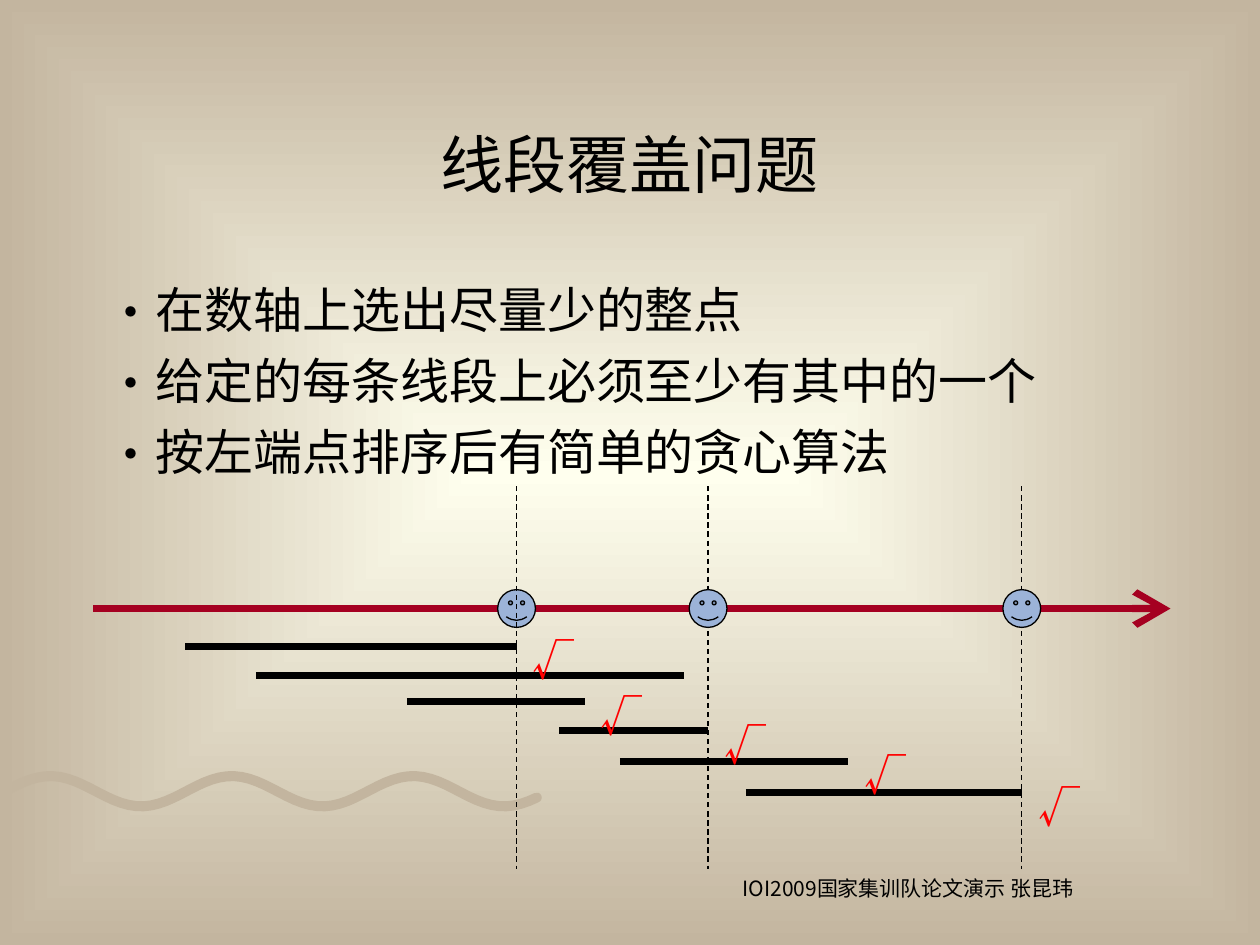
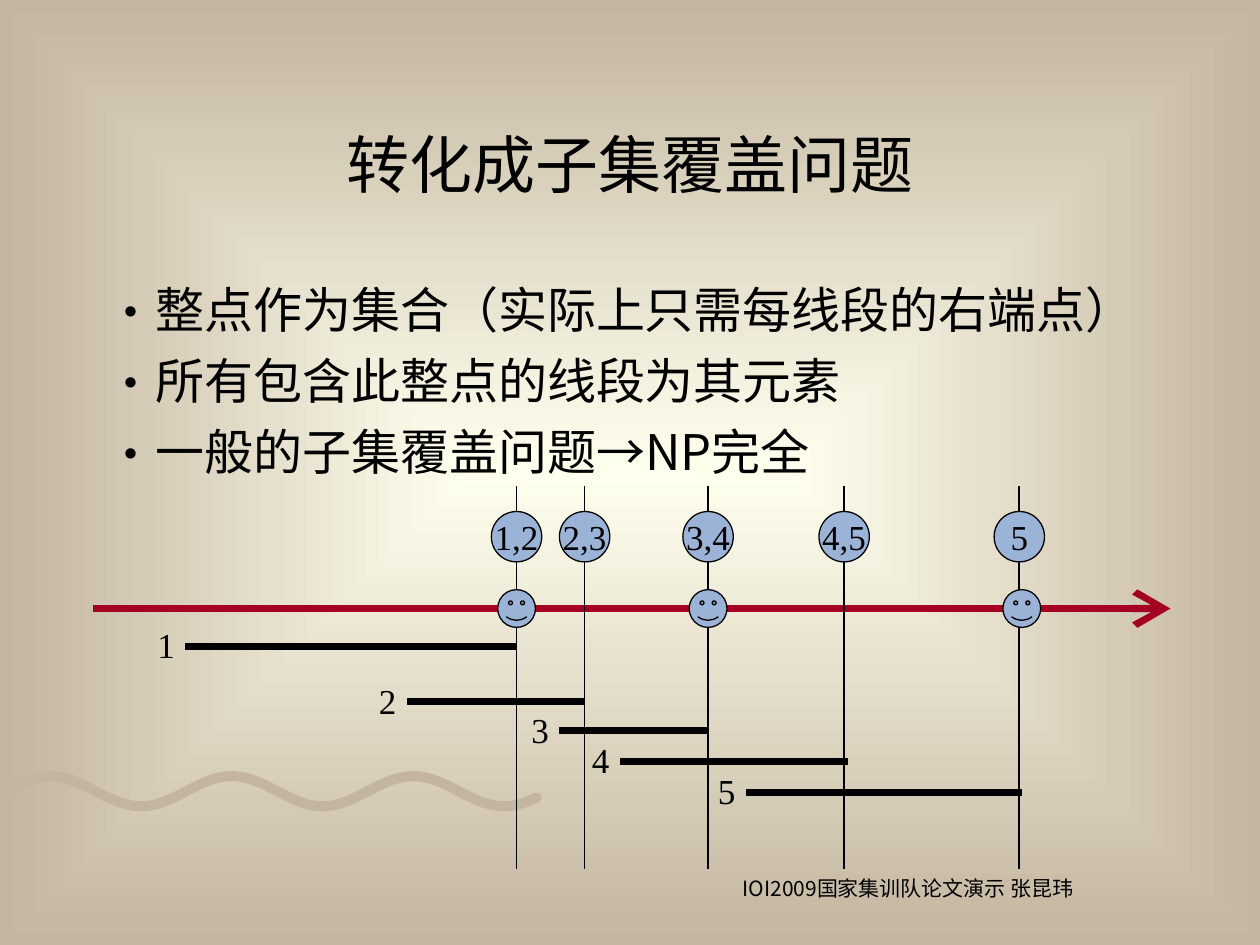
from collections import namedtuple
from dataclasses import dataclass
from math import cos, hypot, pi, sin

from lxml.etree import SubElement
from pptx import Presentation
from pptx.dml.color import RGBColor as RGB
from pptx.enum.dml import MSO_LINE as Dash
from pptx.enum.shapes import MSO_CONNECTOR as Conn, MSO_SHAPE as Shp
from pptx.enum.text import MSO_ANCHOR as Anchor, PP_ALIGN as Align
from pptx.oxml.ns import qn
from pptx.util import Pt

PX = 9144
Segment = namedtuple("Segment", "left right y")
Wave = namedtuple("Wave", "end middle height crest length half_width step")


@dataclass(frozen=True)
class Theme:
    ink: RGB = RGB.from_string("000000")
    axis: RGB = RGB.from_string("A50021")
    check: RGB = RGB.from_string("FF0000")
    dot: RGB = RGB.from_string("9CB3D8")
    glow: RGB = RGB.from_string("FFFFEE")
    sand: RGB = RGB.from_string("C3B59F")
    sans: str = "Noto Sans CJK SC"
    serif: str = "Times New Roman"
    title: int = 36
    body: int = 28
    mark: int = 24
    label: int = 20
    footer: int = 12
    thick: int = 4
    thin: int = 1
    hair: float = 0.75


T = Theme()

FOOTER = "IOI2009国家集训队论文演示 张昆玮"
AXIS = Segment(74, 929, 483)
SEGMENTS = [
    Segment(147, 410, 513),
    Segment(203, 543, 536),
    Segment(323, 464, 557),
    Segment(444, 562, 580),
    Segment(492, 673, 604),
    Segment(592, 811, 629),
]
REDUNDANT = SEGMENTS[1]
NEEDED = [seg for seg in SEGMENTS if seg != REDUNDANT]
CHOSEN = [410, 562, 811]
CANDIDATES = [410, 464, 562, 670, 809]

SLIDES = [
    {
        "title": "线段覆盖问题",
        "points": [
            "在数轴上选出尽量少的整点",
            "给定的每条线段上必须至少有其中的一个",
            "按左端点排序后有简单的贪心算法",
        ],
        "segments": SEGMENTS,
        "guides": CHOSEN,
        "guide_format": {"width": Pt(T.hair), "dash_style": Dash.DASH},
        "faces_behind": 1,
        "show_sets": False,
    },
    {
        "title": "转化成子集覆盖问题",
        "points": [
            "整点作为集合（实际上只需每线段的右端点）",
            "所有包含此整点的线段为其元素",
            "一般的子集覆盖问题→NP完全",
        ],
        "segments": NEEDED,
        "guides": CANDIDATES,
        "guide_format": {"width": Pt(T.thin)},
        "faces_behind": 0,
        "show_sets": True,
    },
]

TITLE_BOX = (75, 67, 850, 125)
BODY_BOX = (75, 217, 850, 170)
FOOTER_BOX = (492, 690, 370, 43)
INDENT = 38
GUIDE_TOP, GUIDE_BOTTOM = 386, 690
FACE_SIZE = 30
BADGE_SIZE, BADGE_Y = 40, 426
WAVE = Wave(end=431, middle=628, height=12, crest=40, length=144, half_width=4, step=6)


def put(obj, **fmt):
    for name, value in fmt.items():
        setattr(obj, name, value)


def px(*values):
    return [round(v * PX) for v in values]


def add_bullet(p):
    pPr = p._p.get_or_add_pPr()
    pPr.set("marL", str(INDENT * PX))
    pPr.set("indent", str(-INDENT * PX))
    SubElement(pPr, qn("a:buFont"), typeface=T.sans)
    SubElement(pPr, qn("a:buChar"), char="•")


def write(tf, lines, size, color=T.ink, font=T.sans, bullet=False, **fmt):
    for i, line in enumerate(lines):
        p = tf.paragraphs[0] if i == 0 else tf.add_paragraph()
        put(p, **fmt)
        r = p.add_run()
        r.text = line
        put(r.font, size=Pt(size), name=font)
        r.font.color.rgb = color
        SubElement(r.font._element, qn("a:ea"), typeface=font)
        if bullet:
            add_bullet(p)


def add_text(s, box, lines, size, wrap=True, anchor=Anchor.TOP, **fmt):
    tf = s.shapes.add_textbox(*px(*box)).text_frame
    put(tf, word_wrap=wrap, vertical_anchor=anchor)
    write(tf, lines, size, **fmt)


def add_line(s, start, end, color=T.ink, arrow=False, **fmt):
    line = s.shapes.add_connector(Conn.STRAIGHT, *px(*start, *end))
    line.line.color.rgb = color
    put(line.line, **fmt)
    if arrow:
        SubElement(line.line._get_or_add_ln(), qn("a:tailEnd"), type="arrow", w="lg", len="lg")
    SubElement(line._element.spPr, qn("a:effectLst"))


def add_segment(s, seg, **fmt):
    add_line(s, (seg.left, seg.y), (seg.right, seg.y), width=Pt(T.thick), **fmt)


def paint(sp, color):
    sp.shadow.inherit = False
    sp.fill.solid()
    sp.fill.fore_color.rgb = color


def add_dot(s, kind, x, y, size):
    sp = s.shapes.add_shape(kind, *px(x - size / 2, y - size / 2, size, size))
    paint(sp, T.dot)
    sp.line.color.rgb = T.ink
    sp.line.width = Pt(T.hair)
    return sp


def add_faces(s, points):
    for x in points:
        add_dot(s, Shp.SMILEY_FACE, x, AXIS.y, FACE_SIZE).adjustments[0] = 0.093


def wave_point(x, side):
    k = 2 * pi / WAVE.length
    phase = k * (x - WAVE.crest)
    y = WAVE.middle - WAVE.height * cos(phase)
    slope = WAVE.height * k * sin(phase)
    offset = side * WAVE.half_width / hypot(1, slope)
    return max(0, x - offset * slope), y + offset


def add_wave(s):
    xs = range(0, WAVE.end, WAVE.step)
    upper = [wave_point(x, -1) for x in xs]
    lower = [wave_point(x, 1) for x in reversed(xs)]
    tip_x, tip_y = wave_point(xs[-1], 0)
    angles = [pi * i / 8 - pi / 2 for i in range(1, 8)]
    cap = [(tip_x + WAVE.half_width * cos(a), tip_y + WAVE.half_width * sin(a)) for a in angles]
    start, *rest = [px(x, y) for x, y in upper + cap + lower]
    outline = s.shapes.build_freeform(*start)
    outline.add_line_segments(rest, close=True)
    sp = outline.convert_to_shape()
    paint(sp, T.sand)
    sp.line.fill.background()


def set_background(master):
    fill = master.background.fill
    fill.gradient()
    for stop, color, position in zip(fill.gradient_stops, (T.glow, T.sand), (0, 1)):
        stop.color.rgb = color
        stop.position = position
    grad = master.element.find(".//" + qn("p:bgPr")).find(qn("a:gradFill"))
    grad.remove(grad.find(qn("a:lin")))
    path = SubElement(grad, qn("a:path"), path="rect")
    SubElement(path, qn("a:fillToRect"), dict.fromkeys("ltrb", "50000"))


def add_checks(s):
    for seg in NEEDED:
        add_text(s, (seg.right + 3, seg.y - 14, 31, 21), ["√"], T.mark,
                 wrap=False, color=T.check)


def add_segment_numbers(s, segments):
    for number, seg in enumerate(segments, 1):
        add_text(s, (seg.left - 32, seg.y - 23, 34, 44), [str(number)], T.label,
                 wrap=False, font=T.serif)


def add_set_badges(s, points, segments):
    for x in points:
        members = [str(number) for number, seg in enumerate(segments, 1)
                   if seg.left <= x <= seg.right]
        tf = add_dot(s, Shp.OVAL, x, BADGE_Y, BADGE_SIZE).text_frame
        put(tf, word_wrap=False, vertical_anchor=Anchor.MIDDLE)
        write(tf, [",".join(members)], T.label, font=T.serif, alignment=Align.CENTER)


def add_frame(s, title, points):
    add_wave(s)
    add_text(s, TITLE_BOX, [title], T.title, anchor=Anchor.MIDDLE, alignment=Align.CENTER)
    add_text(s, BODY_BOX, points, T.body, bullet=True, space_before=Pt(7))
    add_text(s, FOOTER_BOX, [FOOTER], T.footer, alignment=Align.RIGHT, space_before=Pt(7.5))


def add_diagram(s, data):
    segments, guides, behind = data["segments"], data["guides"], data["faces_behind"]
    for seg in segments:
        add_segment(s, seg)
    add_segment(s, AXIS, color=T.axis, arrow=True)
    add_faces(s, CHOSEN[:behind])
    for x in guides:
        add_line(s, (x, GUIDE_TOP), (x, GUIDE_BOTTOM), **data["guide_format"])
    if data["show_sets"]:
        add_segment_numbers(s, segments)
        add_set_badges(s, guides, segments)
    else:
        add_checks(s)
    add_faces(s, CHOSEN[behind:])


def main():
    prs = Presentation()
    put(prs, slide_width=1000 * PX, slide_height=750 * PX)
    set_background(prs.slide_master)
    for data in SLIDES:
        s = prs.slides.add_slide(prs.slide_layouts[6])
        add_frame(s, data["title"], data["points"])
        add_diagram(s, data)
    prs.save("out.pptx")


if __name__ == "__main__":
    main()
